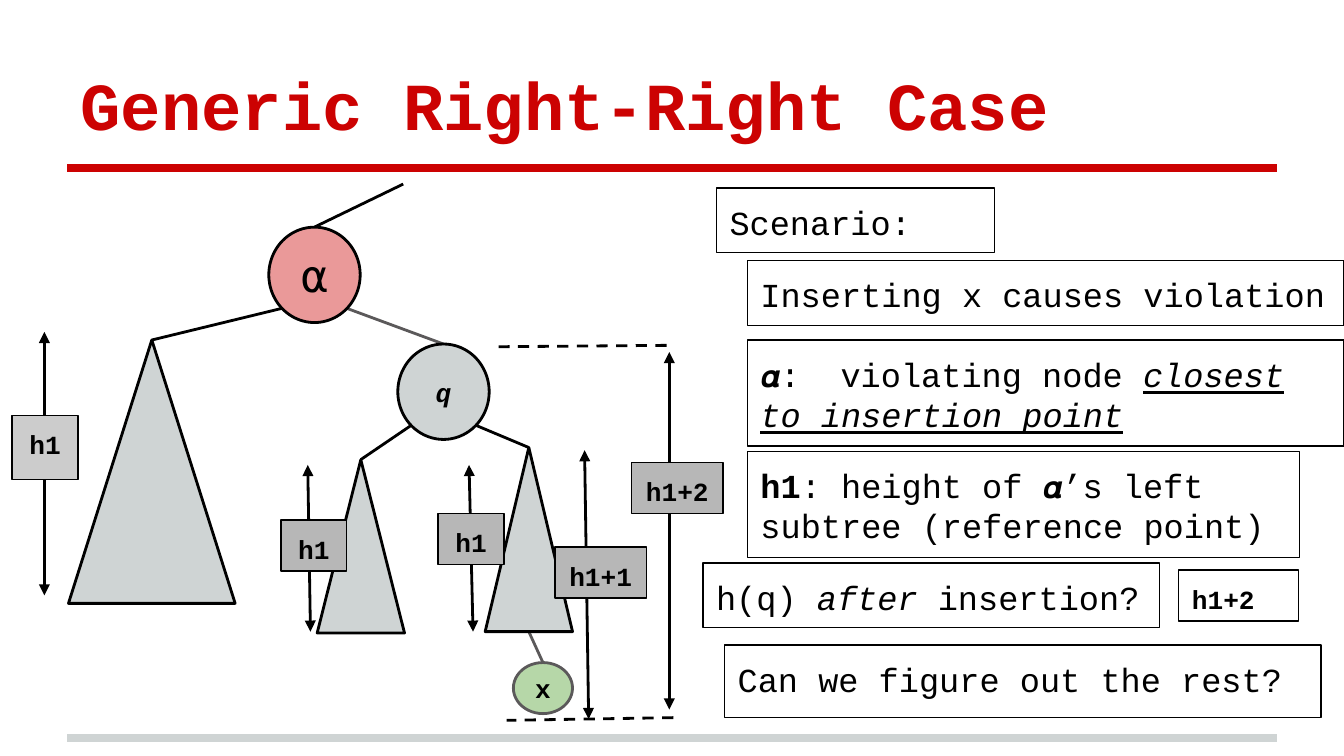
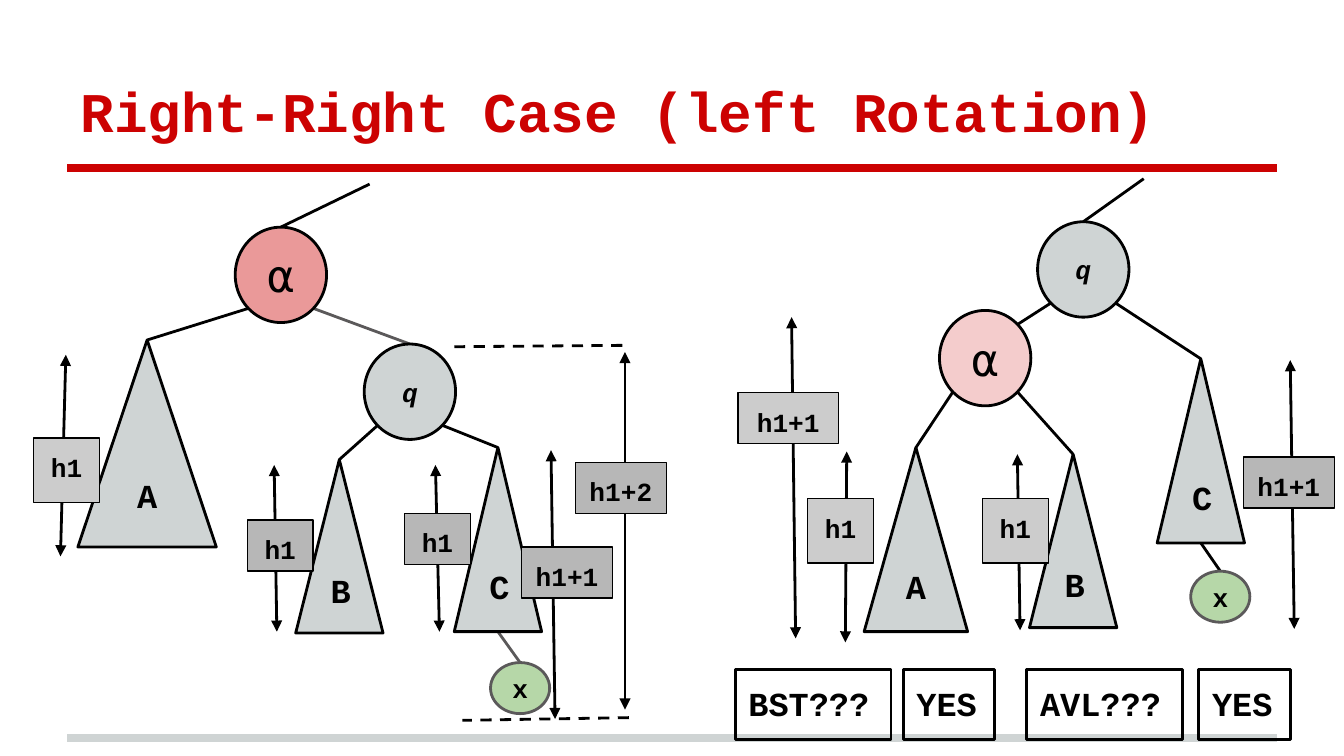
"""Two slides on the right-right case of AVL insertion."""
from dataclasses import dataclass
from typing import NamedTuple

from lxml import etree
from pptx import Presentation
from pptx import util as u
from pptx.dml.color import RGBColor
from pptx.enum import dml, shapes, text
from pptx.oxml import ns

FONT = "Courier New"
RED, GREY, SLATE, BLACK = "CC0202", "CFD4D4", "5B595A", "000000"
ROSE, BLUSH, GREEN = "EA9999", "F4CCCC", "B6D7A8"
DARK, PALE = "B7B7B7", "CCCCCC"
ALPHA, BOLDA = "\u237a", "\U0001D7AA"
LEFT, MID = text.PP_ALIGN.LEFT, text.PP_ALIGN.CENTER
KIND = shapes.MSO_SHAPE
BIG = {"size": 18}
BOLD = {"size": 18, "bold": True}
SMALL = {"size": 14, "bold": True}


class Spot(NamedTuple):
    """A point, in inches."""
    x: float
    y: float


class Run(NamedTuple):
    """A piece of text and its format values."""
    words: str
    form: dict


@dataclass
class Box:
    """A shape with its place, look and text."""
    x: float
    y: float
    w: float
    h: float
    runs: tuple = ()
    fill: str = ""
    kind: int = KIND.RECTANGLE
    edge: str = BLACK
    width: float = 0.75
    align: int = LEFT
    anchor: int = text.MSO_ANCHOR.TOP

    def at(self, fx: float, fy: float) -> Spot:
        """Return the point at fractions of the width and height."""
        return Spot(self.x + fx * self.w, self.y + fy * self.h)

    @property
    def top(self) -> Spot:
        """Return the middle of the upper side."""
        return self.at(0.5, 0)

    @property
    def foot(self) -> Spot:
        """Return the middle of the lower side."""
        return self.at(0.5, 1)

    @property
    def west(self) -> Spot:
        """Return the lower left point of a circle."""
        return self.at(0.15, 0.85)

    @property
    def east(self) -> Spot:
        """Return the lower right point of a circle."""
        return self.at(0.85, 0.85)


def paint(code: str) -> RGBColor:
    """Turn a hex string into a colour."""
    return RGBColor.from_string(code)


def write(frame, runs: tuple, align: int, anchor: int, color: str = BLACK) -> None:
    """Fill a text frame with one paragraph of runs."""
    look = {"word_wrap": True, "auto_size": text.MSO_AUTO_SIZE.NONE,
            "vertical_anchor": anchor}
    look |= {f"margin_{side}": u.Inches(0.1)
             for side in ("left", "right", "top", "bottom")}
    for key, value in look.items():
        setattr(frame, key, value)
    para = frame.paragraphs[0]
    para.alignment = align
    for words, form in runs:
        run = para.add_run()
        run.text = words
        for key, value in ({"name": FONT} | form).items():
            setattr(run.font, key, u.Pt(value) if key == "size" else value)
        run.font.color.rgb = paint(color)


def draw(slide, *boxes: Box) -> None:
    """Draw boxes from back to front."""
    for box in boxes:
        shape = slide.shapes.add_shape(
            box.kind, *(u.Inches(v) for v in (box.x, box.y, box.w, box.h)))
        shape.shadow.inherit = False
        if box.fill:
            shape.fill.solid()
            shape.fill.fore_color.rgb = paint(box.fill)
        else:
            shape.fill.background()
        shape.line.color.rgb = paint(box.edge)
        shape.line.width = u.Pt(box.width)
        if box.runs:
            write(shape.text_frame, box.runs, box.align, box.anchor)


def link(slide, start: Spot, end: Spot, color: str = BLACK, width: float = 1.5,
         dash: bool = False, heads: bool = False) -> None:
    """Draw a straight line, dashed or with two arrowheads if asked."""
    line = slide.shapes.add_connector(
        shapes.MSO_CONNECTOR.STRAIGHT, *(u.Inches(v) for v in (*start, *end)))
    line.line.color.rgb = paint(color)
    line.line.width = u.Pt(width)
    if dash:
        line.line.dash_style = dml.MSO_LINE.DASH
    if heads:
        for tag in ("a:headEnd", "a:tailEnd"):
            etree.SubElement(line.line._get_or_add_ln(), ns.qn(tag), type="triangle")
    etree.SubElement(line._element.spPr, ns.qn("a:effectLst"))


def node(x: float, y: float, name: str, fill: str = GREY) -> Box:
    """Make a tree node: a large alpha or a small italic letter."""
    form = {"size": 24} if name == ALPHA else SMALL | {"italic": True}
    return Box(x, y, 0.68, 0.71, (Run(name, form),), fill, KIND.OVAL,
               width=1.5, align=MID, anchor=text.MSO_ANCHOR.MIDDLE)


def leaf(x: float, y: float) -> Box:
    """Make the inserted node x."""
    return Box(x, y, 0.44, 0.38, (Run("x", SMALL),), GREEN, KIND.OVAL, SLATE,
               1.5, anchor=text.MSO_ANCHOR.MIDDLE)


def tree(x: float, y: float, w: float, h: float, name: str = "") -> Box:
    """Make a triangle for a subtree."""
    runs = (Run(name, BOLD),) if name else ()
    return Box(x, y, w, h, runs, GREY, KIND.ISOSCELES_TRIANGLE, width=1.5,
               align=MID if name == "A" else LEFT, anchor=text.MSO_ANCHOR.MIDDLE)


def gauge(slide, start: tuple, end: tuple, name: str, x: float, y: float,
          w: float = 0.49, h: float = 0.38, fill: str = DARK) -> None:
    """Draw a height arrow with its tag on top."""
    link(slide, Spot(*start), Spot(*end), heads=True)
    draw(slide, Box(x, y, w, h, (Run(name, SMALL),), fill, align=MID))


def page(deck, title: str, size: int):
    """Add a slide with its title and the two bands."""
    slide = deck.slides.add_slide(deck.slide_layouts[5])
    for y, color in ((5.49, GREY), (1.25, RED)):
        link(slide, Spot(0.5, y), Spot(9.5, y), color, 4)
    head = slide.shapes.title
    for key, value in {"left": 0.5, "top": 0.23, "width": 9, "height": 0.94}.items():
        setattr(head, key, u.Inches(value))
    write(head.text_frame, (Run(title, {"size": size, "bold": True}),), LEFT,
          text.MSO_ANCHOR.BOTTOM, RED)
    return slide


def before(slide, dx: float, a: Box, b: Box, c: Box, x: Box,
           far: float, tag: float) -> None:
    """Draw the tree before rotation; far shifts the h1+2 span, tag its label."""
    alpha, q = node(2 + dx, 1.69, ALPHA, ROSE), node(2.96 + dx, 2.56, "q")
    link(slide, alpha.top, Spot(3 + dx, 1.37))
    link(slide, alpha.west, a.top)
    link(slide, alpha.east, q.top, SLATE)
    link(slide, q.west, b.top)
    link(slide, q.east, c.top)
    link(slide, c.foot, x.top, SLATE)
    draw(slide, alpha, q, a, b, c, x)
    link(slide, Spot(4.96 + far, 2.57), Spot(3.71 + far, 2.58), dash=True)
    link(slide, Spot(5.01 + far, 5.34), Spot(3.77 + far, 5.36), dash=True)
    gauge(slide, (4.98 + far, 2.62), (4.98 + far, 5.28), "h1+2", tag, 3.44, 0.68)
    gauge(slide, (4.35 + dx, 3.35), (4.38 + dx, 5.35), "h1+1", 4.13 + dx, 4.07, 0.68)
    gauge(slide, (3.49 + dx, 3.46), (3.52 + dx, 4.7), "h1", 3.26 + dx, 3.82)
    gauge(slide, (2.29 + dx, 3.46), (2.31 + dx, 4.7), "h1", 2.09 + dx, 3.87)


def after(slide) -> None:
    """Draw the tree after rotation."""
    q, alpha = node(7.72, 1.65, "q"), node(6.99, 2.31, ALPHA, BLUSH)
    a = tree(6.43, 3.33, 0.77, 1.37, "A")
    b = tree(7.66, 3.38, 0.65, 1.29, "B")
    c = tree(8.61, 2.67, 0.65, 1.37, "C")
    x = leaf(8.86, 4.25)
    link(slide, q.top, Spot(8.51, 1.33))
    link(slide, q.west, alpha.at(0.85, 0.15))
    link(slide, q.east, c.top)
    link(slide, alpha.west, a.top)
    link(slide, alpha.east, b.top)
    link(slide, c.foot, x.top)
    draw(slide, q, alpha, a, b, c, x)
    gauge(slide, (9.6, 2.68), (9.63, 4.68), "h1+1", 9.25, 3.4, 0.68)
    gauge(slide, (5.89, 2.36), (5.92, 4.75), "h1+1", 5.49, 2.92, 0.75, fill=PALE)
    gauge(slide, (6.3, 3.36), (6.29, 4.78), "h1", 6.01, 3.71, h=0.48, fill=PALE)
    gauge(slide, (7.57, 3.38), (7.59, 4.69), "h1", 7.31, 3.71, h=0.48, fill=PALE)


def main() -> None:
    """Build and save the deck."""
    deck = Presentation()
    deck.slide_width = u.Inches(10)
    deck.slide_height = u.Inches(10 * 9 / 16)

    case = page(deck, "Generic Right-Right Case", 36)
    before(case, 0, tree(0.51, 2.53, 1.24, 1.96), tree(2.36, 3.42, 0.65, 1.29),
           tree(3.61, 3.33, 0.65, 1.37), leaf(3.82, 4.93), 0, 4.7)
    gauge(case, (0.33, 2.47), (0.33, 4.43), "h1", 0.09, 3.09, h=0.48, fill=PALE)
    slant = BIG | {"italic": True}
    draw(case,
         Box(5.33, 1.4, 2.07, 0.48, (Run("Scenario:", BIG),)),
         Box(5.56, 1.94, 4.44, 0.48, (Run("Inserting x causes violation", BIG),)),
         Box(5.56, 2.53, 4.44, 0.79, (
             Run(f"{BOLDA}:  violating node ", BIG),
             Run("closest to insertion point", slant | {"underline": True}))),
         Box(5.56, 3.36, 4.11, 0.79, (
             Run("h1", BOLD),
             Run(f": height of {BOLDA}\u2019s left subtree (reference point) ", BIG))),
         Box(5.23, 4.19, 3.4, 0.48, (
             Run("h(q) ", BIG), Run("after", slant), Run(" insertion?", BIG))),
         Box(8.77, 4.24, 0.89, 0.38, (Run("h1+2", SMALL),)),
         Box(5.39, 4.8, 4.44, 0.54, (Run("Can we figure out the rest?", BIG),)))

    turn = page(deck, "Right-Right Case (left Rotation)", 30)
    before(turn, -0.25, tree(0.58, 2.53, 1.03, 1.54, "A"),
           tree(2.2, 3.42, 0.65, 1.29, "B"), tree(3.38, 3.33, 0.65, 1.37, "C"),
           leaf(3.65, 4.93), -0.33, 4.28)
    gauge(turn, (0.49, 2.64), (0.45, 4.14), "h1", 0.25, 3.26, h=0.48, fill=PALE)
    after(turn)
    for x, w, words in ((5.47, 1.16, "BST???"), (6.72, 0.68, "YES"),
                        (7.64, 1.16, "AVL???"), (8.92, 0.68, "YES")):
        draw(turn, Box(x, 4.98, w, 0.52, (Run(words, BOLD),), width=1.5))

    deck.save("out.pptx")


main()
